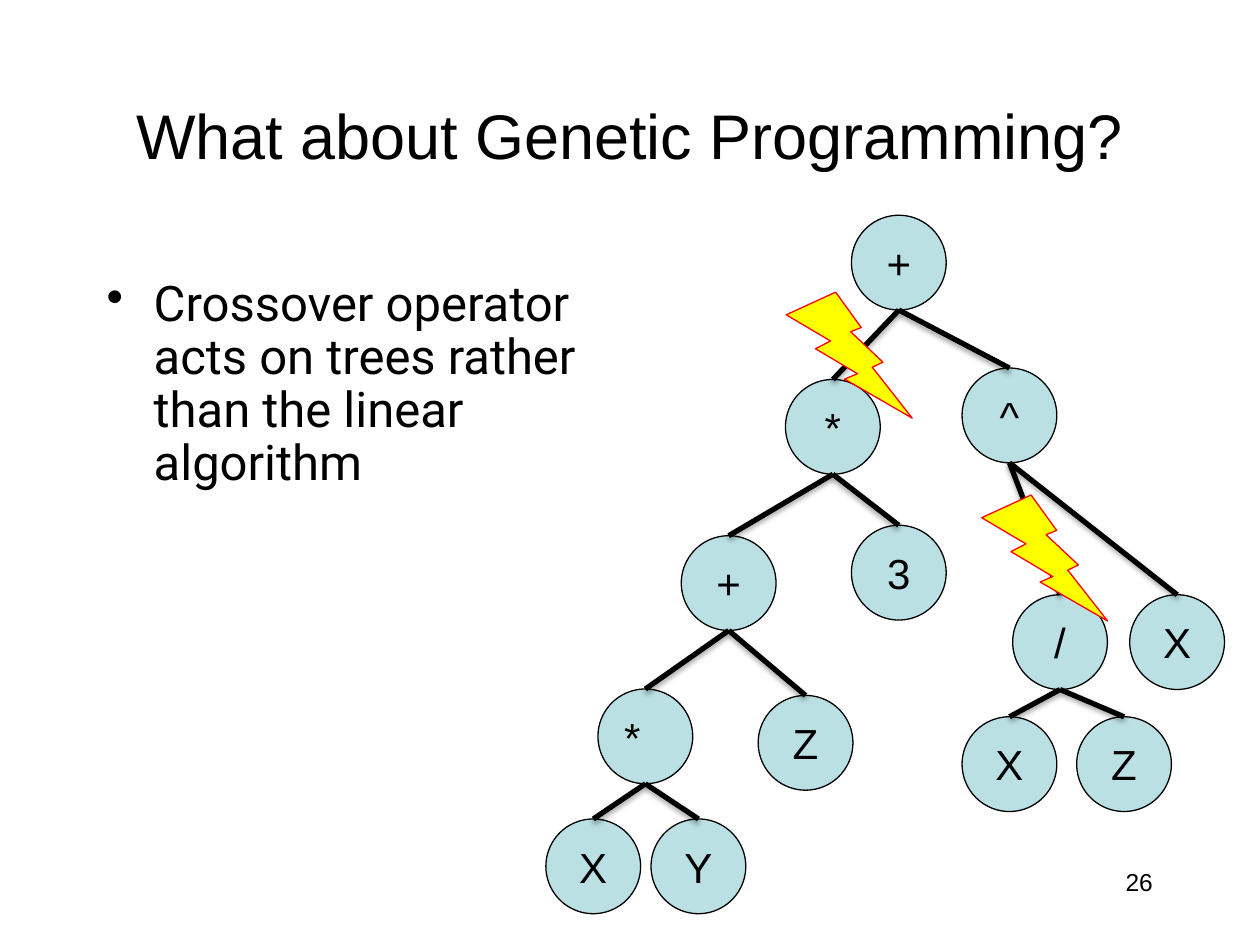
import pptx
import pptx.util
import pptx.dml.color
import pptx.enum.shapes
import pptx.enum.text
import pptx.oxml
import pptx.oxml.ns

Cm, Pt = pptx.util.Cm, pptx.util.Pt
SHAPE = pptx.enum.shapes.MSO_SHAPE
ALIGN = pptx.enum.text.PP_ALIGN
ANCHOR = pptx.enum.text.MSO_ANCHOR

COLORS = {"ink": "000000", "node": "BBE0E3", "bolt": "FFFF00", "bolt_edge": "FF0000"}
DIAMETER = 1.91
BOLT_SIZE = 2.54

# Tree nodes: name -> (symbol, centre x, top, parent), in cm
NODES = {
    "root": ("+", 18.12, 4.34, None),
    "times": ("*", 16.79, 7.65, "root"),
    "power": ("^", 20.35, 7.42, "root"),
    "plus": ("+", 14.69, 10.8, "times"),
    "three": ("3", 18.12, 10.59, "times"),
    "divide": ("/", 21.37, 11.99, "power"),
    "power_x": ("X", 23.73, 11.99, "power"),
    "divide_x": ("X", 20.35, 14.45, "divide"),
    "divide_z": ("Z", 22.66, 14.45, "divide"),
    "product": ("*", 13.01, 13.89, "plus"),
    "plus_z": ("Z", 16.24, 14.02, "plus"),
    "product_x": ("X", 11.96, 16.51, "product"),
    "product_y": ("Y", 14.08, 16.51, "product"),
}
LEFT_ALIGNED = {"product"}
BOLTS = [(19.79, 9.98), (15.85, 5.89)]


def color(name):
    return pptx.dml.color.RGBColor.from_string(COLORS[name])


def add_text(frame, text, size, font="Arial", align=ALIGN.LEFT, anchor=ANCHOR.TOP):
    frame.word_wrap = True
    frame.vertical_anchor = anchor
    para = frame.paragraphs[0]
    para.alignment = align
    span = para.add_run()
    span.text = text
    span.font.size = Pt(size)
    span.font.name = font
    span.font.color.rgb = color("ink")
    return para


def add_title(page, text):
    title = page.shapes.title
    title.left, title.top, title.width, title.height = Cm(1.9), Cm(1.7), Cm(21.59), Cm(3.18)
    title.text_frame.margin_top = Cm(0.25)
    add_text(title.text_frame, text, 36, align=ALIGN.CENTER)


def add_box(page, place, text, size, **style):
    box = page.shapes.add_textbox(*map(Cm, place))
    return add_text(box.text_frame, text, size, **style)


def make_bullet(para):
    para.line_spacing = 0.9
    properties = para._p.get_or_add_pPr()
    properties.set("marL", str(Cm(0.95)))
    properties.set("indent", str(-Cm(0.95)))
    properties.append(pptx.oxml.parse_xml(
        f'<a:buChar {pptx.oxml.ns.nsdecls("a")} char="\u2022"/>'))


def add_figure(page, kind, left, top, size, fill, edge):
    figure = page.shapes.add_shape(kind, Cm(left), Cm(top), Cm(size), Cm(size))
    figure.shadow.inherit = False
    figure.fill.solid()
    figure.fill.fore_color.rgb = color(fill)
    figure.line.color.rgb = color(edge)
    figure.line.width = Pt(0.75)
    return figure


def add_node(page, name):
    symbol, center, top, _ = NODES[name]
    node = add_figure(page, SHAPE.OVAL, center - DIAMETER / 2, top, DIAMETER, "node", "ink")
    align = ALIGN.LEFT if name in LEFT_ALIGNED else ALIGN.CENTER
    add_text(node.text_frame, symbol, 24, align=align, anchor=ANCHOR.MIDDLE)


def add_branch(page, child, parent):
    _, child_x, child_top, _ = NODES[child]
    _, parent_x, parent_top, _ = NODES[parent]
    branch = page.shapes.add_connector(
        pptx.enum.shapes.MSO_CONNECTOR.STRAIGHT,
        Cm(child_x), Cm(child_top), Cm(parent_x), Cm(parent_top + DIAMETER))
    branch.line.color.rgb = color("ink")
    branch.line.width = Pt(3)
    branch._element.spPr.append(pptx.oxml.parse_xml(
        f'<a:effectLst {pptx.oxml.ns.nsdecls("a")}>'
        f'<a:outerShdw blurRad="{Pt(3.1)}" dist="{Pt(1.8)}" dir="5400000" rotWithShape="0">'
        f'<a:srgbClr val="{COLORS["ink"]}"><a:alpha val="35000"/></a:srgbClr>'
        '</a:outerShdw></a:effectLst>'))


def main():
    deck = pptx.Presentation()
    deck.slide_width, deck.slide_height = Cm(25.4), Cm(19.05)
    page = deck.slides.add_slide(deck.slide_layouts[5])

    # Title, bullet and page number
    add_title(page, "What about Genetic Programming?")
    make_bullet(add_box(page, (1.9, 5.5, 10.58, 11.43),
                        "Crossover operator acts on trees rather than the linear algorithm",
                        28, font="Roboto"))
    add_box(page, (18.2, 17.36, 5.29, 1.27), "26", 14, align=ALIGN.RIGHT)

    # Expression tree
    for name in NODES:
        add_node(page, name)
    for name, (_, _, _, parent) in NODES.items():
        if parent:
            add_branch(page, name, parent)

    # Crossover points
    for left, top in BOLTS:
        add_figure(page, SHAPE.LIGHTNING_BOLT, left, top, BOLT_SIZE, "bolt", "bolt_edge")

    deck.save("out.pptx")


main()
